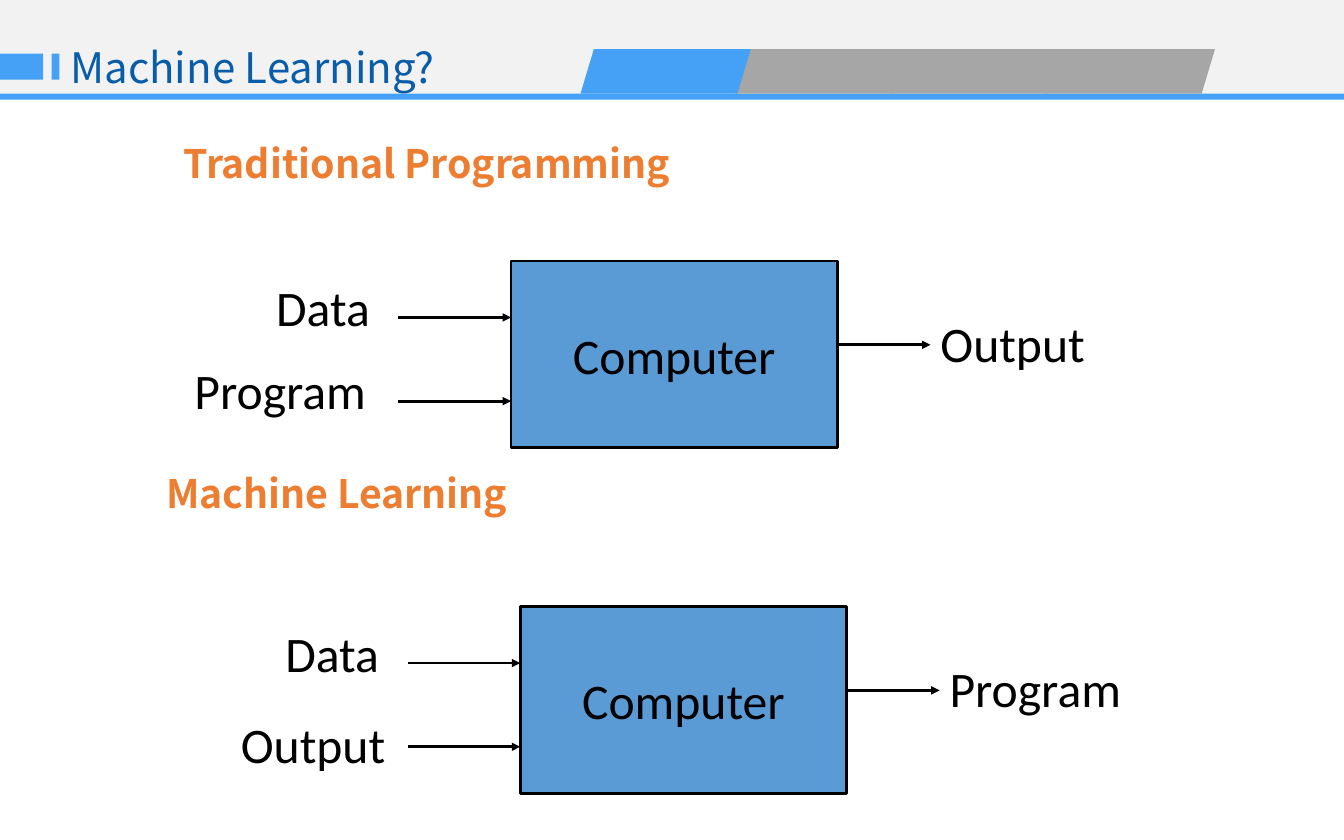
from dataclasses import dataclass

from lxml.etree import SubElement
from pptx import Presentation
from pptx.dml.color import RGBColor
from pptx.enum.shapes import MSO_CONNECTOR as Connector, MSO_SHAPE as Shape
from pptx.enum.text import MSO_ANCHOR as Anchor, MSO_AUTO_SIZE as AutoSize, PP_ALIGN as Align
from pptx.oxml.ns import qn
from pptx.util import Cm, Pt

COLORS = {
    "band": "F2F2F2", "accent": "45A1F5", "tab": "A6A6A6", "title": "095CA7",
    "heading": "ED7D31", "box": "5B9BD5", "ink": "000000",
}
HEAD_FONT, LABEL_FONT = "Noto Sans CJK KR", "Calibri"
BOX_W, BOX_H = 8.23, 4.7
ARROW_IN, ARROW_OUT = 2.84, 2.34
INPUT_YS, OUTPUT_Y = (1.42, 3.53), 2.11
LABEL_WIDTHS = {"Data": 2.9, "Program": 4.88, "Output": 4.19}
LABEL_H = 1.78


@dataclass
class Block:
    """A filled shape of the header, in cm."""
    left: float
    top: float
    width: float
    height: float
    color: str
    kind: Shape = Shape.RECTANGLE


@dataclass
class Label:
    """A caption, placed in cm from the top left of its computer box."""
    text: str
    dx: float
    dy: float


@dataclass
class Diagram:
    left: float
    top: float
    labels: list[Label]


def rgb(name: str) -> RGBColor:
    return RGBColor.from_string(COLORS[name])


def format_text(p, font: str, size: float, color: str, bold: bool = False) -> None:
    for r in p.runs:
        r.font.name, r.font.size, r.font.bold = font, Pt(size), bold
        r.font.color.rgb = rgb(color)


def place(sp, left: float, top: float, width: float, height: float) -> None:
    sp.left, sp.top, sp.width, sp.height = Cm(left), Cm(top), Cm(width), Cm(height)


def add_block(shapes, b: Block):
    sp = shapes.add_shape(b.kind, Cm(b.left), Cm(b.top), Cm(b.width), Cm(b.height))
    sp.shadow.inherit = False
    sp.fill.solid()
    sp.fill.fore_color.rgb = rgb(b.color)
    sp.line.fill.background()
    if b.kind == Shape.PARALLELOGRAM:
        sp.adjustments[0] = 0.3
    return sp


def add_arrow(shapes, left: float, y: float, length: float) -> None:
    line = shapes.add_connector(Connector.STRAIGHT, Cm(left), Cm(y), Cm(left + length), Cm(y))
    line.line.color.rgb = rgb("ink")
    line.line.width = Pt(2)
    SubElement(line.line._get_or_add_ln(), qn("a:tailEnd"), type="triangle")
    SubElement(line.element.spPr, qn("a:effectLst"))


def add_label(shapes, label: Label, left: float, top: float) -> None:
    sp = shapes.add_textbox(Cm(left + label.dx), Cm(top + label.dy),
                            Cm(LABEL_WIDTHS[label.text]), Cm(LABEL_H))
    tf = sp.text_frame
    tf.text, tf.word_wrap = label.text, False
    format_text(tf.paragraphs[0], LABEL_FONT, 35.5, "ink")


def add_diagram(shapes, d: Diagram) -> None:
    sp = add_block(shapes, Block(d.left, d.top, BOX_W, BOX_H, "box"))
    sp.line.color.rgb = rgb("ink")
    sp.line.width = Pt(2)
    tf = sp.text_frame
    tf.text, tf.word_wrap, tf.vertical_anchor = "Computer", False, Anchor.MIDDLE
    tf.paragraphs[0].alignment = Align.CENTER
    format_text(tf.paragraphs[0], LABEL_FONT, 35.5, "ink")
    for y in INPUT_YS:
        add_arrow(shapes, d.left - ARROW_IN, d.top + y, ARROW_IN)
    add_arrow(shapes, d.left + BOX_W, d.top + OUTPUT_Y, ARROW_OUT)
    for label in d.labels:
        add_label(shapes, label, d.left, d.top)


def fill_title(sp) -> None:
    place(sp, 1.52, 0.91, 11.3, 1.55)
    tf = sp.text_frame
    tf.text, tf.vertical_anchor, tf.auto_size = "Machine Learning?", Anchor.TOP, AutoSize.NONE
    tf.paragraphs[0].alignment = Align.LEFT
    format_text(tf.paragraphs[0], HEAD_FONT, 30, "title")


def fill_headings(sp) -> None:
    place(sp, 3.94, 3.53, 25.63, 15.98)
    tf = sp.text_frame
    tf.text, tf.auto_size = "Traditional Programming\nMachine Learning", AutoSize.NONE
    for p, indent, space in zip(tf.paragraphs, (0.43, 0), (0, 205)):
        pPr = p._p.get_or_add_pPr()
        pPr.set("marL", str(Cm(indent)))
        pPr.set("indent", "0")
        SubElement(pPr, qn("a:buNone"))
        p.line_spacing, p.space_before = 0.9, Pt(space)
        format_text(p, HEAD_FONT, 28, "heading", bold=True)


TABS = [Block(14.63 + 3.9 * i, 1.24, 4.29, 1.12, "tab" if i else "accent", Shape.PARALLELOGRAM)
        for i in range(4)]
HEADER = [
    Block(0, 0, 33.87, 2.36, "band"),
    Block(0, 1.35, 1.09, 0.66, "accent"),
    Block(1.3, 1.35, 0.2, 0.66, "accent"),
    Block(0, 2.36, 33.87, 0.15, "accent"),
    *reversed(TABS),
]
OUT_X = BOX_W + ARROW_OUT
DIAGRAMS = [
    Diagram(12.88, 6.58, [Label("Data", -6.17, 0.28), Label("Program", -8.23, 2.36),
                          Label("Output", OUT_X, 1.17)]),
    Diagram(13.11, 15.29, [Label("Data", -6.17, 0.28), Label("Output", -7.29, 2.57),
                           Label("Program", OUT_X, 1.17)]),
]


def main() -> None:
    prs = Presentation()
    prs.slide_width, prs.slide_height = Cm(33.87), Cm(21.17)
    s = prs.slides.add_slide(prs.slide_layouts[1])
    title, body = s.placeholders

    # Header, with the title brought in front of its band
    for block in HEADER:
        add_block(s.shapes, block)
    fill_title(title)
    title.element.getparent().append(title.element)

    # Section headings and their diagrams
    fill_headings(body)
    for diagram in DIAGRAMS:
        add_diagram(s.shapes, diagram)

    prs.save("out.pptx")


if __name__ == "__main__":
    main()
